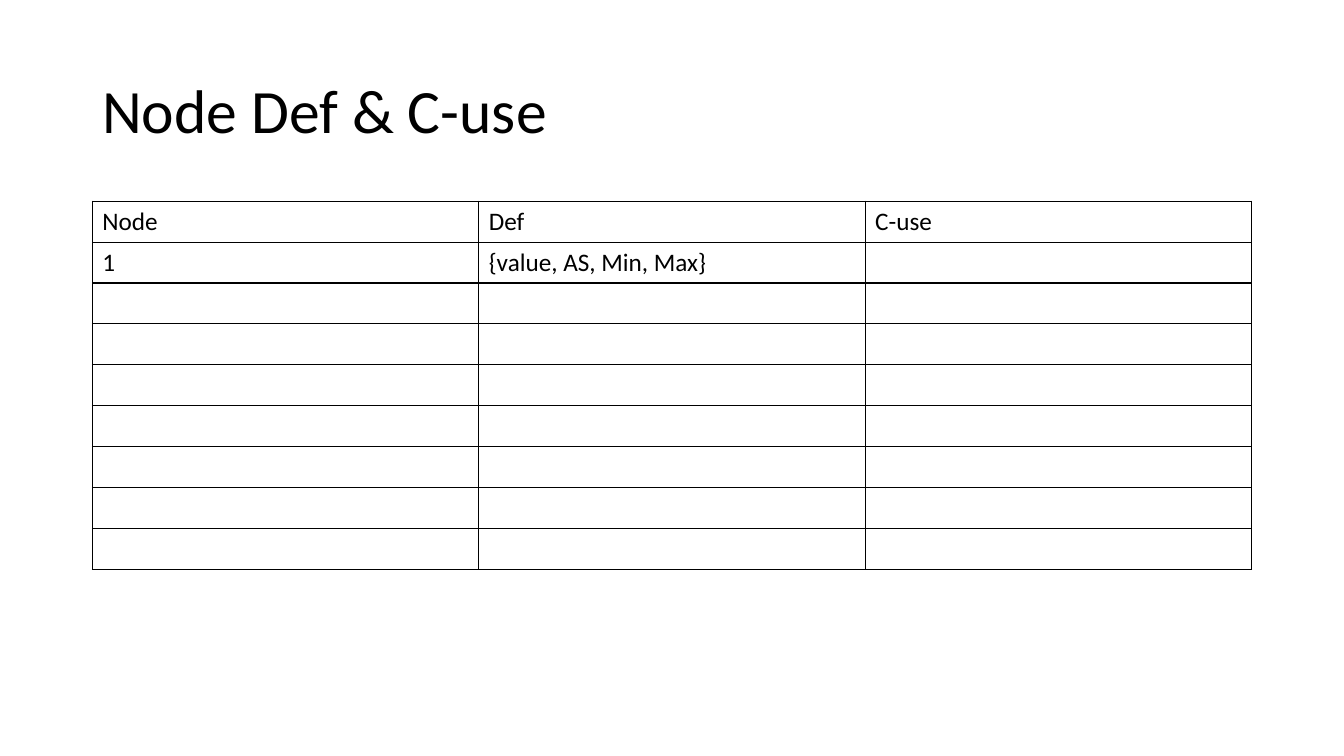
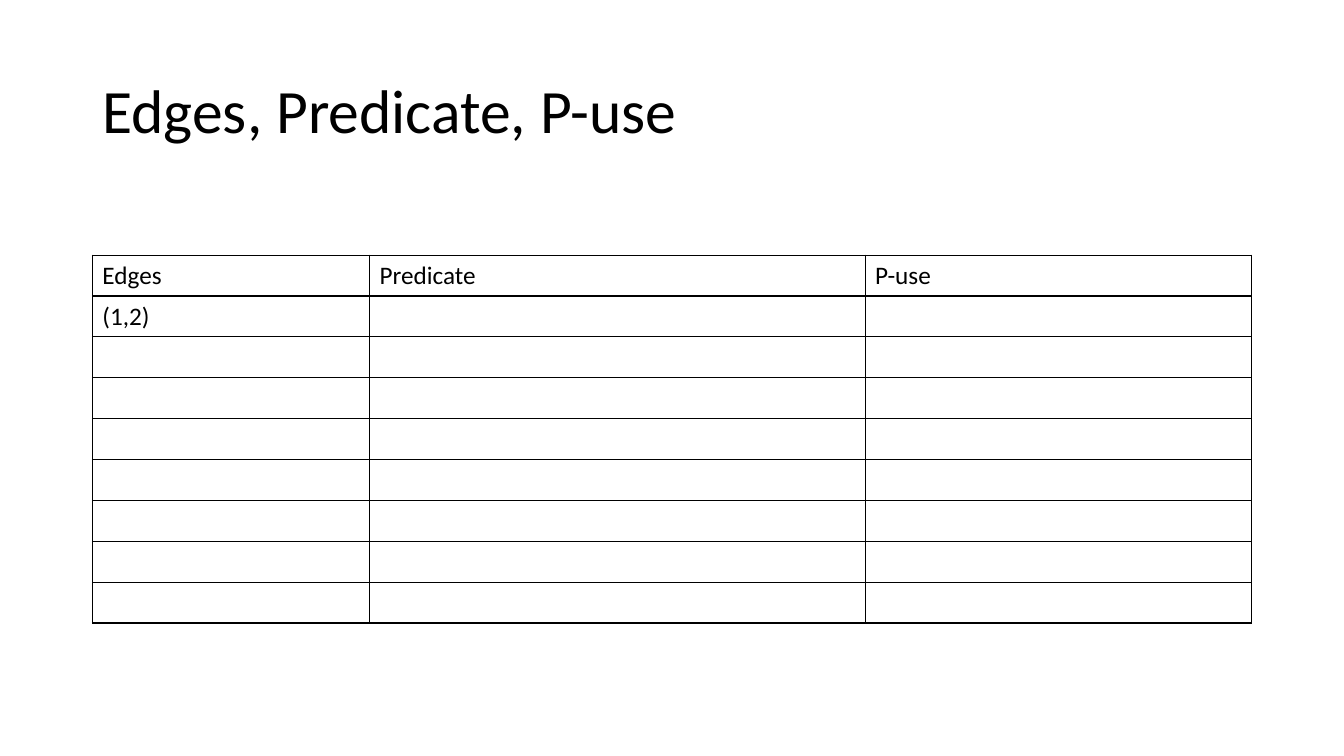
from dataclasses import dataclass

from lxml.etree import SubElement
from pptx import Presentation
from pptx.dml.color import RGBColor as Rgb
from pptx.enum.text import MSO_VERTICAL_ANCHOR as Anchor
from pptx.oxml.ns import qn
from pptx.slide import Slide
from pptx.table import _Cell as Cell
from pptx.text.text import _Paragraph as Paragraph
from pptx.util import Pt

COLORS = {"text": "000000", "border": "000000", "background": "FFFFFF"}
FONT = "Calibri"
TITLE_SIZE = 44
CELL_SIZE = 18
LEFT = 66
CONTENT_WIDTH = 828
ROW_COUNT = 9
ROW_HEIGHT = 29.2
BORDER_WIDTH = 1


@dataclass(frozen=True)
class TableSlide:
    title: str
    table_top: float
    column_widths: tuple[float, ...]
    rows: tuple[tuple[str, ...], ...]


TABLE_SLIDES = (
    TableSlide(
        "Node Def & C-use", 143.75, (276, 276, 276),
        (("Node", "Def", "C-use"), ("1", "{value, AS, Min, Max}")),
    ),
    TableSlide(
        "Edges, Predicate, P-use", 182.25, (198, 354, 276),
        (("Edges", "Predicate", "P-use"), ("(1,2)",)),
    ),
)


def add_run(paragraph: Paragraph, text: str, size: float) -> None:
    run = paragraph.add_run()
    run.text = text
    run.font.name = FONT
    run.font.size = Pt(size)
    run.font.color.rgb = Rgb.from_string(COLORS["text"])


def add_title(slide: Slide, title: str) -> None:
    shape = slide.shapes.add_textbox(
        Pt(LEFT), Pt(28.75), Pt(CONTENT_WIDTH), Pt(104.4)
    )
    frame = shape.text_frame
    frame.word_wrap = True
    frame.vertical_anchor = Anchor.MIDDLE
    paragraph = frame.paragraphs[0]
    paragraph.line_spacing = 0.9
    add_run(paragraph, title, TITLE_SIZE)


def style_cell(cell: Cell) -> None:
    """Draw all four borders and clear the fill, in the order the schema needs."""
    properties = cell._tc.get_or_add_tcPr()
    for side in ("lnL", "lnR", "lnT", "lnB"):
        line = SubElement(properties, qn(f"a:{side}"), w=str(Pt(BORDER_WIDTH)))
        fill = SubElement(line, qn("a:solidFill"))
        SubElement(fill, qn("a:srgbClr"), val=COLORS["border"])
    cell.fill.background()


def add_grid(slide: Slide, content: TableSlide) -> None:
    table = slide.shapes.add_table(
        ROW_COUNT, len(content.column_widths),
        Pt(LEFT), Pt(content.table_top),
        Pt(CONTENT_WIDTH), Pt(ROW_COUNT * ROW_HEIGHT),
    ).table
    table.first_row = False
    table.horz_banding = False
    for column, width in zip(table.columns, content.column_widths):
        column.width = Pt(width)
    for row in table.rows:
        row.height = Pt(ROW_HEIGHT)
    for cell in table.iter_cells():
        style_cell(cell)
        cell.text_frame.paragraphs[0].font.size = Pt(CELL_SIZE)
    for row, texts in zip(table.rows, content.rows):
        for cell, text in zip(row.cells, texts):
            add_run(cell.text_frame.paragraphs[0], text, CELL_SIZE)


def main() -> None:
    presentation = Presentation()
    presentation.slide_width = Pt(960)
    presentation.slide_height = Pt(540)
    background = presentation.slide_master.background.fill
    background.solid()
    background.fore_color.rgb = Rgb.from_string(COLORS["background"])
    blank_layout = presentation.slide_layouts[6]
    for content in TABLE_SLIDES:
        slide = presentation.slides.add_slide(blank_layout)
        add_title(slide, content.title)
        add_grid(slide, content)
    presentation.save("out.pptx")


if __name__ == "__main__":
    main()
